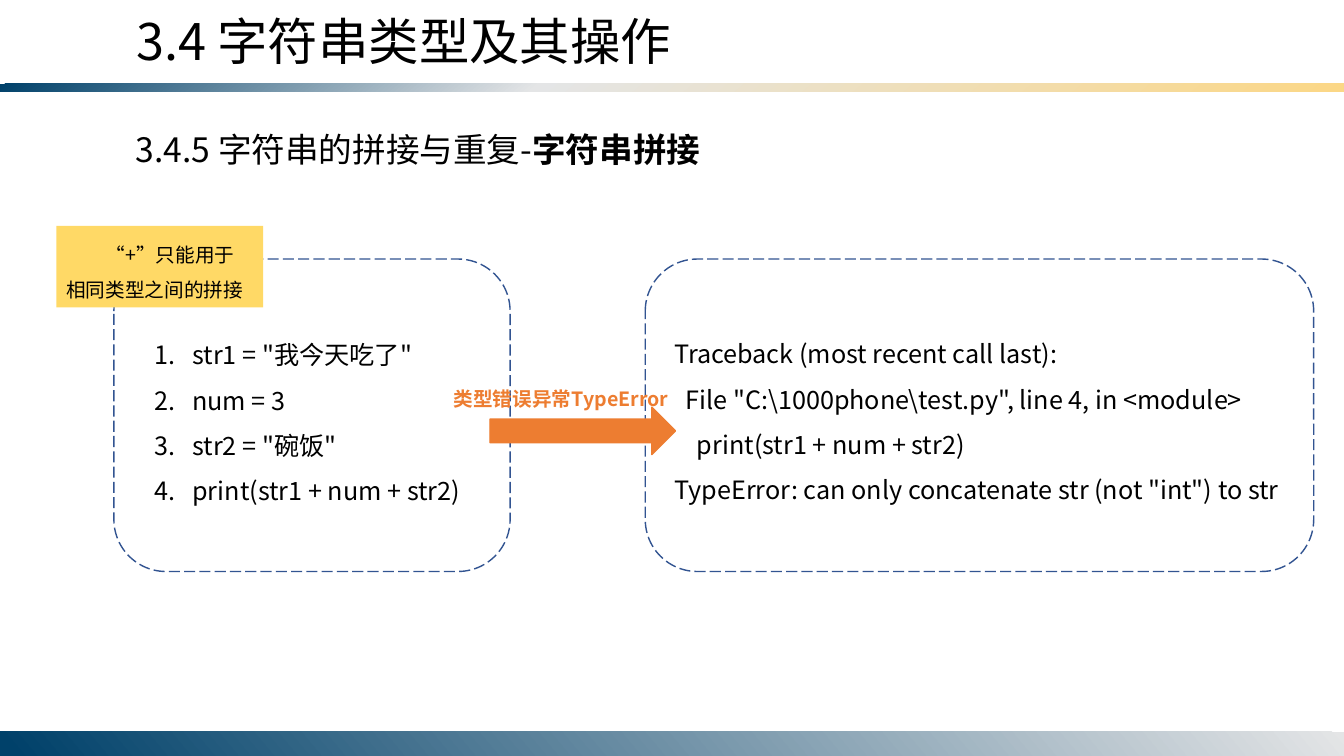
from dataclasses import dataclass

from lxml import etree
from pptx import Presentation
from pptx.dml.color import RGBColor
from pptx.enum.dml import MSO_LINE
from pptx.enum.lang import MSO_LANGUAGE_ID
from pptx.enum.shapes import MSO_SHAPE
from pptx.enum.text import MSO_ANCHOR, MSO_AUTO_SIZE, PP_ALIGN
from pptx.oxml.ns import qn
from pptx.util import Inches, Pt

RECTANGLE = MSO_SHAPE.RECTANGLE
ROUNDED = MSO_SHAPE.ROUNDED_RECTANGLE
RIGHT_ARROW = MSO_SHAPE.RIGHT_ARROW
LONG_DASH = MSO_LINE.LONG_DASH
TOP, MIDDLE = MSO_ANCHOR.TOP, MSO_ANCHOR.MIDDLE
NO_AUTOFIT = MSO_AUTO_SIZE.NONE
LEFT = PP_ALIGN.LEFT
CHINESE = MSO_LANGUAGE_ID.SIMPLIFIED_CHINESE
FONT = "Noto Sans CJK SC"
COLORS = {
    "text": "000000", "outline": "325491", "orange": "ED7D31", "note": "FFD966",
    "navy": "00416A", "silver": "E4E5E6", "gold": "FBD786",
}


@dataclass
class Box:
    left: float
    top: float
    width: float
    height: float

    def lengths(self) -> tuple:
        return tuple(Inches(n) for n in (self.left, self.top, self.width, self.height))


@dataclass
class GradientBar:
    box: Box
    angle: int
    stops: list


@dataclass
class CodePanel:
    outline: Box
    text_box: Box
    lines: list
    numbered: bool


BARS = [
    GradientBar(Box(0, 0.83, 13.33, 0.08), 50, [(0, "navy"), (40, "silver"), (100, "gold")]),
    GradientBar(Box(0, 7.26, 13.33, 0.24), 140, [(0, "silver"), (99, "navy")]),
]
PANELS = [
    CodePanel(
        Box(1.13, 2.57, 3.93, 3.1), Box(1.43, 3.17, 3.64, 1.92),
        ['str1 = "我今天吃了"', "num = 3", 'str2 = "碗饭"', "print(str1 + num + str2)"],
        True,
    ),
    CodePanel(
        Box(6.4, 2.57, 6.63, 3.1), Box(6.59, 3.16, 6.43, 1.92),
        [
            "Traceback (most recent call last):",
            '  File "C:\\1000phone\\test.py", line 4, in <module>',
            "    print(str1 + num + str2)",
            'TypeError: can only concatenate str (not "int") to str',
        ],
        False,
    ),
]


def rgb(name: str) -> RGBColor:
    return RGBColor.from_string(COLORS[name])


def format_run(run, size: int, color: str = "text", bold: bool = False) -> None:
    run.font.size = Pt(size)
    run.font.bold = bold
    run.font.name = FONT
    run.font.color.rgb = rgb(color)
    run.font.language_id = CHINESE
    latin = run.font._element.find(qn("a:latin"))
    east_asian = etree.Element(qn("a:ea"), typeface=FONT)
    latin.addnext(east_asian)


def write_lines(shape, lines: list, size: int, color: str = "text", bold: bool = False,
                spacing: float = 1.0, anchor=TOP) -> None:
    frame = shape.text_frame
    frame.word_wrap = True
    frame.auto_size = NO_AUTOFIT
    frame.vertical_anchor = anchor
    frame.text = "\n".join(lines)
    for paragraph in frame.paragraphs:
        paragraph.alignment = LEFT
        paragraph.line_spacing = spacing
        for run in paragraph.runs:
            format_run(run, size, color, bold)


def set_indent(paragraph, margin: float, first_line: float):
    properties = paragraph._p.get_or_add_pPr()
    properties.set("marL", str(Inches(margin)))
    properties.set("indent", str(Inches(first_line)))
    return properties


def add_plain_shape(slide, kind, box: Box, fill: str = "", line: str = ""):
    shape = slide.shapes.add_shape(kind, *box.lengths())
    shape.shadow.inherit = False
    if fill:
        shape.fill.solid()
        shape.fill.fore_color.rgb = rgb(fill)
    else:
        shape.fill.background()
    if line:
        shape.line.color.rgb = rgb(line)
        shape.line.width = Pt(1)
    else:
        shape.line.fill.background()
    return shape


def add_bar(slide, bar: GradientBar) -> None:
    shape = add_plain_shape(slide, RECTANGLE, bar.box)
    gradient = etree.Element(qn("a:gradFill"), rotWithShape="1")
    stop_list = etree.SubElement(gradient, qn("a:gsLst"))
    for position, color in bar.stops:
        stop = etree.SubElement(stop_list, qn("a:gs"), pos=str(position * 1000))
        etree.SubElement(stop, qn("a:srgbClr"), val=COLORS[color])
    etree.SubElement(gradient, qn("a:lin"), ang=str(bar.angle * 60000), scaled="0")
    properties = shape._element.spPr
    properties.replace(properties.find(qn("a:noFill")), gradient)


def add_panel(slide, panel: CodePanel) -> None:
    text_box = slide.shapes.add_textbox(*panel.text_box.lengths())
    write_lines(text_box, panel.lines, 18, spacing=1.5)
    if panel.numbered:
        for paragraph in text_box.text_frame.paragraphs:
            properties = set_indent(paragraph, 0.38, -0.38)
            etree.SubElement(properties, qn("a:buFont"), typeface="+mj-lt")
            etree.SubElement(properties, qn("a:buAutoNum"), type="arabicPeriod")
    outline = add_plain_shape(slide, ROUNDED, panel.outline, line="outline")
    outline.line.dash_style = LONG_DASH


def main() -> None:
    presentation = Presentation()
    presentation.slide_width = Inches(13.33)
    presentation.slide_height = Inches(7.5)
    slide = presentation.slides.add_slide(presentation.slide_layouts[5])

    title = slide.shapes.title
    title.left, title.top, title.width, title.height = Box(1.25, 0.05, 6.12, 1.31).lengths()
    write_lines(title, ["3.4 字符串类型及其操作"], 36)

    for bar in BARS:
        add_bar(slide, bar)

    subtitle = slide.shapes.add_textbox(*Box(1.25, 1.23, 6.38, 0.5).lengths())
    write_lines(subtitle, ["3.4.5 字符串的拼接与重复-"], 24)
    topic = subtitle.text_frame.paragraphs[0].add_run()
    topic.text = "字符串拼接"
    format_run(topic, 24, bold=True)

    for panel in PANELS:
        add_panel(slide, panel)

    add_plain_shape(slide, RIGHT_ARROW, Box(4.86, 4.04, 1.84, 0.47), "orange", "orange")

    note = add_plain_shape(slide, RECTANGLE, Box(0.56, 2.24, 2.05, 0.81), "note")
    write_lines(note, ["“+”只能用于相同类型之间的拼接"], 14, spacing=1.5, anchor=MIDDLE)
    set_indent(note.text_frame.paragraphs[0], 0, 0.39)

    error_label = slide.shapes.add_textbox(*Box(4.4, 3.79, 2.39, 0.34).lengths())
    write_lines(error_label, ["类型错误异常TypeError"], 14, "orange", True)
    error_label.text_frame.word_wrap = False

    presentation.save("out.pptx")


if __name__ == "__main__":
    main()
